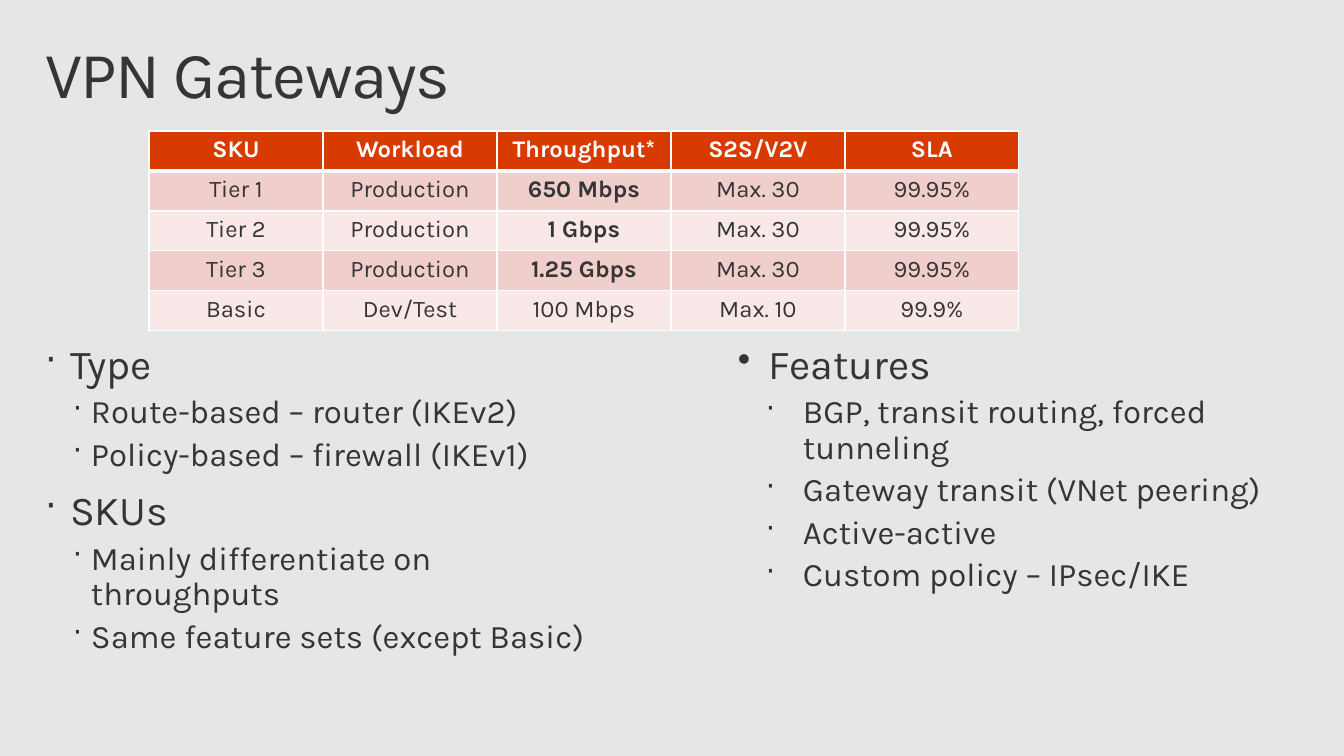
from lxml import etree
from pptx import Presentation
from pptx.dml.color import RGBColor
from pptx.enum.text import MSO_ANCHOR, PP_ALIGN
from pptx.oxml.ns import qn
from pptx.util import Pt

TOP = MSO_ANCHOR.TOP
LEFT = PP_ALIGN.LEFT
CENTER = PP_ALIGN.CENTER
FONT = "Karla"
DARK = "353535"
WHITE = "FFFFFF"
HEADER_FILL = "D83B01"
BAND_FILLS = ["F8E8E7", "F0CECC"]


def px(length):
    return round(length * 914400 / 100.8)


def add_run(paragraph, text, size, color, bold=False):
    run = paragraph.add_run()
    run.text = text
    run.font.name = FONT
    run.font.size = Pt(size)
    run.font.bold = bold
    run.font.color.rgb = RGBColor.from_string(color)
    return run


presentation = Presentation()
presentation.slide_width = px(1344)
presentation.slide_height = px(756)
slide = presentation.slides.add_slide(presentation.slide_layouts[5])
slide.background.fill.solid()
slide.background.fill.fore_color.rgb = RGBColor.from_string("E6E6E6")

title = slide.shapes.title
title.left, title.top, title.width, title.height = px(29), px(32), px(1285), px(99)
frame = title.text_frame
frame.margin_left = frame.margin_right = px(16)
frame.margin_top = frame.margin_bottom = px(10)
frame.vertical_anchor = TOP
paragraph = frame.paragraphs[0]
paragraph.alignment = LEFT
paragraph.line_spacing = 0.9
title_run = add_run(paragraph, "VPN Gateways", 47, DARK)
title_run.font._element.set("spc", "-100")

columns = [
    (29, 365, [("·", 25, 25), ("·", 46, 18)], [
        (0, "Type"),
        (1, "Route-based – router (IKEv2)"),
        (1, "Policy-based – firewall (IKEv1)"),
        (0, "SKUs"),
        (1, "Mainly differentiate on throughputs"),
        (1, "Same feature sets (except Basic)"),
    ]),
    (722, 277, [("•", 31, 31), ("·", 65, 37)], [
        (0, "Features"),
        (1, "BGP, transit routing, forced tunneling"),
        (1, "Gateway transit (VNet peering)"),
        (1, "Active-active"),
        (1, "Custom policy – IPsec/IKE"),
    ]),
]
level_sizes = [29.4, 23.5]
level_spaces = [12, 5]

for left, height, bullets, items in columns:
    text_box = slide.shapes.add_textbox(px(left), px(334), px(593), px(height))
    frame = text_box.text_frame
    frame.word_wrap = True
    frame.margin_left = frame.margin_right = px(16)
    frame.margin_top = frame.margin_bottom = px(10)
    for index, (level, text) in enumerate(items):
        paragraph = frame.add_paragraph() if index else frame.paragraphs[0]
        character, indent, hanging = bullets[level]
        paragraph.level = level
        properties = paragraph._p.get_or_add_pPr()
        properties.set("marL", str(px(indent)))
        properties.set("indent", str(-px(hanging)))
        bullet_color = etree.SubElement(properties, qn("a:buClr"))
        etree.SubElement(bullet_color, qn("a:srgbClr"), val=DARK)
        etree.SubElement(properties, qn("a:buSzPct"), val="90000")
        etree.SubElement(properties, qn("a:buChar"), char=character)
        paragraph.line_spacing = 0.9
        if index:
            paragraph.space_before = Pt(level_spaces[level])
        add_run(paragraph, text, level_sizes[level], DARK)

rows = [
    ["SKU", "Workload", "Throughput*", "S2S/V2V", "SLA"],
    ["Tier 1", "Production", "650 Mbps", "Max. 30", "99.95%"],
    ["Tier 2", "Production", "1 Gbps", "Max. 30", "99.95%"],
    ["Tier 3", "Production", "1.25 Gbps", "Max. 30", "99.95%"],
    ["Basic", "Dev/Test", "100 Mbps", "Max. 10", "99.9%"],
]
table_frame = slide.shapes.add_table(5, 5, px(149), px(131), px(870), px(200))
table = table_frame.table
for column in table.columns:
    column.width = px(174)
for row in table.rows:
    row.height = px(40)

for row_index, row_texts in enumerate(rows):
    is_header = row_index == 0
    for column_index, text in enumerate(row_texts):
        cell = table.cell(row_index, column_index)
        cell.margin_left = cell.margin_right = px(10)
        cell.margin_top = cell.margin_bottom = px(5)
        cell.vertical_anchor = TOP
        properties = cell._tc.get_or_add_tcPr()
        widths = {
            "a:lnL": 1,
            "a:lnR": 1,
            "a:lnT": 3 if row_index == 1 else 1,
            "a:lnB": 3 if is_header else 1,
        }
        for side, width in widths.items():
            border = etree.SubElement(properties, qn(side), w=str(Pt(width)))
            border_fill = etree.SubElement(border, qn("a:solidFill"))
            etree.SubElement(border_fill, qn("a:srgbClr"), val=WHITE)
        fill = HEADER_FILL if is_header else BAND_FILLS[row_index % 2]
        cell.fill.solid()
        cell.fill.fore_color.rgb = RGBColor.from_string(fill)
        paragraph = cell.text_frame.paragraphs[0]
        paragraph.alignment = CENTER
        bold = is_header or (column_index == 2 and row_index < 4)
        add_run(paragraph, text, 17, WHITE if is_header else DARK, bold)

presentation.save("out.pptx")
